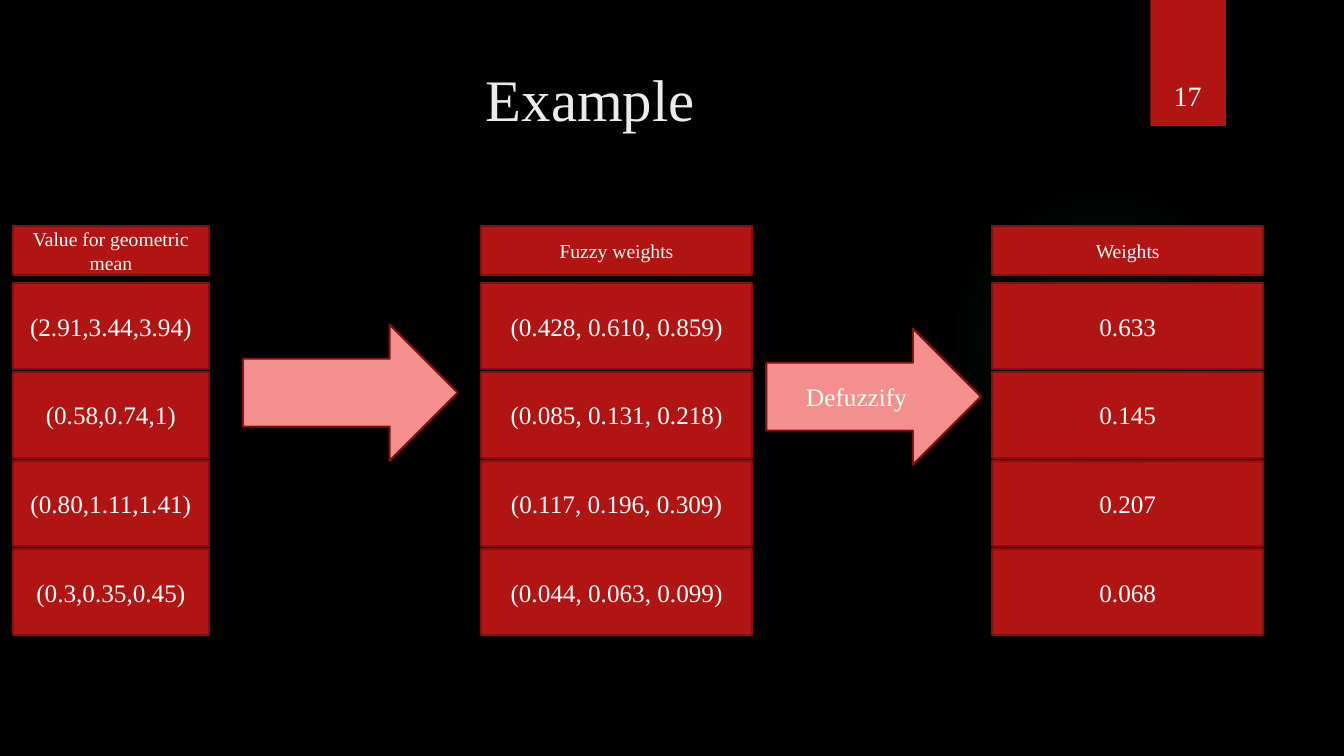
from pptx import Presentation
from pptx.dml.color import RGBColor
from pptx.enum.shapes import MSO_SHAPE
from pptx.enum.text import MSO_ANCHOR, MSO_AUTO_SIZE, PP_ALIGN
from pptx.oxml import parse_xml
from pptx.util import Pt

EMU_PER_PX = 9144  # 100 px to the inch
RECTANGLE, OVAL, ARROW = MSO_SHAPE.RECTANGLE, MSO_SHAPE.OVAL, MSO_SHAPE.RIGHT_ARROW
TOP, MIDDLE, BOTTOM = MSO_ANCHOR.TOP, MSO_ANCHOR.MIDDLE, MSO_ANCHOR.BOTTOM
CENTER = PP_ALIGN.CENTER
NO_AUTOFIT = MSO_AUTO_SIZE.NONE

FONT = "Times New Roman"
COLORS = {
    "background": "000000",
    "glow": "50B9C1",
    "card": "B01513",
    "border": "82100E",
    "arrow": "F38F8D",
    "title": "EBEBEB",
    "text": "FFFFFF",
}
GLOW_STOPS = ((0, 7), (36, 6), (69, 0))  # position and opacity in percent

HEADER_TOP, HEADER_HEIGHT = 224, 49
FIRST_ROW_TOP, ROW_PITCH, ROW_HEIGHT = 281, 88, 85
COLUMNS = (
    (13, 194, "Value for geometric mean",
     ("(2.91,3.44,3.94)", "(0.58,0.74,1)", "(0.80,1.11,1.41)", "(0.3,0.35,0.45)")),
    (477, 269, "Fuzzy weights",
     ("(0.428, 0.610, 0.859)", "(0.085, 0.131, 0.218)",
      "(0.117, 0.196, 0.309)", "(0.044, 0.063, 0.099)")),
    (984, 269, "Weights", ("0.633", "0.145", "0.207", "0.068")),
)


def px(value):
    return value * EMU_PER_PX


def color(name):
    return RGBColor.from_string(COLORS[name])


def set_attributes(target, values):
    for name, value in values.items():
        setattr(target, name, value)


def write_text(shape, text, size, color_name="text", **frame_format):
    """Put one centred line of text in a shape; extra values go to its frame."""
    frame = shape.text_frame
    set_attributes(frame, {"word_wrap": True, "vertical_anchor": MIDDLE, **frame_format})
    paragraph = frame.paragraphs[0]
    paragraph.alignment = CENTER
    run = paragraph.add_run()
    run.text = text
    set_attributes(run.font, {"name": FONT, "size": Pt(size)})
    run.font.color.rgb = color(color_name)


def add_block(slide, kind, box, fill, bordered=True):
    shape = slide.shapes.add_shape(kind, *map(px, box))
    shape.shadow.inherit = False
    shape.fill.solid()
    shape.fill.fore_color.rgb = color(fill)
    if bordered:
        shape.line.color.rgb = color("border")
        shape.line.width = Pt(1.5)
    else:
        shape.line.fill.background()
    return shape


def add_glow(slide, box):
    """Add a circle that fades out from its centre."""
    shape = add_block(slide, OVAL, box, "glow", bordered=False)
    stops = "".join(
        f'<a:gs pos="{position * 1000}"><a:srgbClr val="{COLORS["glow"]}">'
        f'<a:alpha val="{opacity * 1000}"/></a:srgbClr></a:gs>'
        for position, opacity in GLOW_STOPS
    )
    gradient = parse_xml(
        '<a:gradFill xmlns:a="http://schemas.openxmlformats.org/drawingml/2006/main">'
        f'<a:gsLst>{stops}</a:gsLst><a:path path="circle">'
        '<a:fillToRect l="50000" t="50000" r="50000" b="50000"/></a:path></a:gradFill>'
    )
    properties = shape.element.spPr
    solid = properties.find("{*}solidFill")
    properties.replace(solid, gradient)


def add_title(slide, text):
    title = slide.shapes.title
    set_attributes(title, {"left": px(71), "top": px(50),
                           "width": px(1029), "height": px(153)})
    write_text(title, text, 42, "title", vertical_anchor=TOP,
               auto_size=NO_AUTOFIT, margin_top=px(12))


def add_page_number(slide, number):
    add_block(slide, RECTANGLE, (1141, 0, 75, 125), "card", bordered=False)
    label = slide.shapes.add_textbox(*map(px, (1132, 32, 92, 84)))
    write_text(label, number, 20, vertical_anchor=BOTTOM)


def add_column(slide, left, width, heading, values):
    header = add_block(slide, RECTANGLE, (left, HEADER_TOP, width, HEADER_HEIGHT), "card")
    write_text(header, heading, 14)
    for row, value in enumerate(values):
        top = FIRST_ROW_TOP + row * ROW_PITCH
        card = add_block(slide, RECTANGLE, (left, top, width, ROW_HEIGHT), "card")
        write_text(card, value, 18)


def main():
    presentation = Presentation()
    presentation.slide_width, presentation.slide_height = px(1333), px(750)
    slide = presentation.slides.add_slide(presentation.slide_layouts.get_by_name("Title Only"))
    slide.background.fill.solid()
    slide.background.fill.fore_color.rgb = color("background")

    add_glow(slide, (941, 183, 308, 308))
    add_title(slide, "Example")
    add_page_number(slide, "17")
    for column in COLUMNS:
        add_column(slide, *column)
    add_block(slide, ARROW, (241, 322, 213, 135), "arrow")
    defuzzify = add_block(slide, ARROW, (760, 326, 213, 135), "arrow")
    write_text(defuzzify, "Defuzzify", 18)

    presentation.save("out.pptx")


if __name__ == "__main__":
    main()
